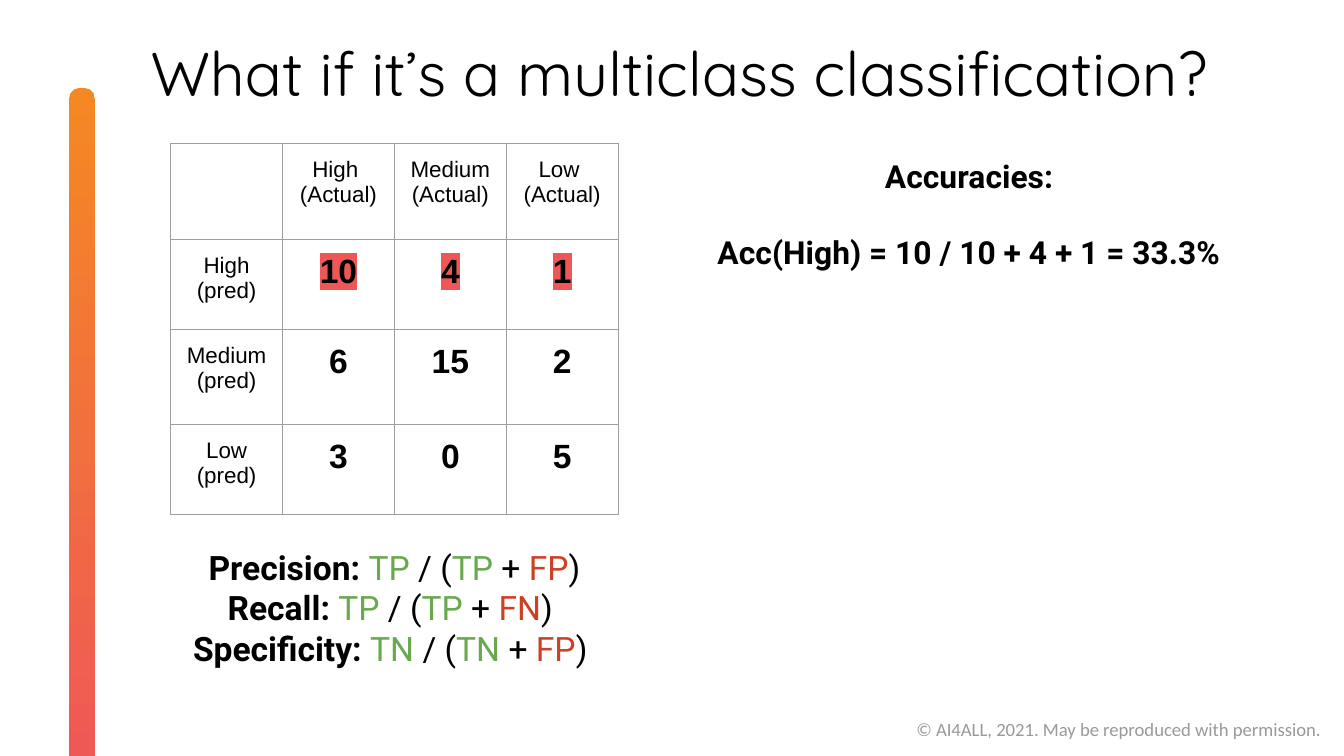
from dataclasses import dataclass

from lxml import etree
from pptx import Presentation
from pptx import util as u
from pptx.dml.color import RGBColor
from pptx.enum import shapes, text
from pptx.oxml import ns


@dataclass(frozen=True)
class Theme:
    """Colours, fonts and type sizes of the slide."""
    black: str = "000000"
    grey: str = "999999"
    grid: str = "9E9E9E"
    right: str = "6AA84F"
    wrong: str = "CC4125"
    orange: str = "F58823"
    red: str = "EF5757"
    title_font: str = "Quicksand"
    body_font: str = "Roboto"
    table_font: str = "Arial"
    footer_font: str = "Calibri"
    title_size: int = 33
    formula_size: int = 18
    accuracy_size: int = 17
    label_size: int = 12
    footer_size: int = 10


THEME = Theme()
COUNTS = [
    ["", "High \n(Actual)", "Medium (Actual)", "Low \n(Actual)"],
    ["High (pred)", "10", "4", "1"],
    ["Medium (pred)", "6", "15", "2"],
    ["Low (pred)", "3", "0", "5"],
]
HIGHLIGHTED_ROW = 1


def write(frame, lines, *, font, size, color=THEME.black, bold=False, highlight=None,
          align=text.PP_ALIGN.CENTER, gap=0):
    """Fill a text frame with lines, each a string or a list of (text, colour, bold)."""
    for index, line in enumerate(lines):
        paragraph = frame.paragraphs[0] if index == 0 else frame.add_paragraph()
        paragraph.alignment = align
        if index and gap:
            paragraph.space_before = u.Pt(gap)
        pieces = [(line, color, bold)] if isinstance(line, str) else line
        for words, shade, strong in pieces:
            run = paragraph.add_run()
            run.text = words
            run.font.name = font
            run.font.size = u.Pt(size)
            run.font.bold = strong
            run.font.color.rgb = RGBColor.from_string(shade)
            if highlight:
                mark = etree.Element(ns.qn("a:highlight"))
                etree.SubElement(mark, ns.qn("a:srgbClr"), val=highlight)
                run.font._element.find(ns.qn("a:solidFill")).addnext(mark)


def set_frame(frame, side=0, end=0):
    """Give a text frame its insets, wrapping and top anchor."""
    frame.margin_left = frame.margin_right = u.Inches(side)
    frame.margin_top = frame.margin_bottom = u.Inches(end)
    frame.word_wrap = True
    frame.auto_size = text.MSO_AUTO_SIZE.NONE
    frame.vertical_anchor = text.MSO_ANCHOR.TOP


def add_text(slide, place, lines, side=0, end=0, **style):
    """Add a text box at a place given in inches."""
    frame = slide.shapes.add_textbox(*map(u.Inches, place)).text_frame
    set_frame(frame, side, end)
    write(frame, lines, **style)


def set_title(slide, words):
    """Move and fill the title placeholder."""
    title = slide.shapes.title
    title.left, title.top = u.Inches(1.12), u.Inches(0.26)
    title.width, title.height = u.Inches(8.4), u.Inches(0.64)
    set_frame(title.text_frame)
    write(title.text_frame, [words], font=THEME.title_font, size=THEME.title_size,
          align=text.PP_ALIGN.LEFT)


def add_side_bar(slide):
    """Add the rounded gradient bar that runs off the bottom edge."""
    bar = slide.shapes.add_shape(shapes.MSO_SHAPE.ROUNDED_RECTANGLE, u.Inches(-1.98),
                                 u.Inches(3.15), u.Inches(5.18), u.Inches(0.19))
    bar.rotation = 90
    bar.adjustments[0] = 0.39
    bar.shadow.inherit = False
    bar.line.fill.background()
    bar.fill.gradient()
    bar.fill.gradient_angle = 0
    for stop, shade in zip(bar.fill.gradient_stops, (THEME.orange, THEME.red)):
        stop.color.rgb = RGBColor.from_string(shade)


def set_borders(cell):
    """Draw a thin grey line on all four sides of a cell."""
    properties = cell._tc.get_or_add_tcPr()
    for position, side in enumerate(("a:lnL", "a:lnR", "a:lnT", "a:lnB")):
        line = etree.Element(ns.qn(side), w=str(u.Pt(0.75)))
        fill = etree.SubElement(line, ns.qn("a:solidFill"))
        etree.SubElement(fill, ns.qn("a:srgbClr"), val=THEME.grid)
        properties.insert(position, line)


def add_confusion_table(slide):
    """Add the table of predicted against actual classes."""
    table = slide.shapes.add_table(4, 4, u.Inches(1.27), u.Inches(1.07),
                                   u.Inches(3.33), u.Inches(2.76)).table
    table.first_row = table.horz_banding = False
    for row, height in zip(table.rows, (0.71, 0.67, 0.71, 0.67)):
        row.height = u.Inches(height)
    for r, counts in enumerate(COUNTS):
        for c, words in enumerate(counts):
            cell = table.cell(r, c)
            cell.fill.background()
            set_borders(cell)
            cell.margin_left = cell.margin_right = u.Inches(0.1)
            cell.margin_top = cell.margin_bottom = u.Inches(0.1)
            is_count = r > 0 and c > 0
            if words:
                write(cell.text_frame, words.split("\n"), font=THEME.table_font,
                      size=THEME.formula_size if is_count else THEME.label_size,
                      bold=is_count,
                      highlight=THEME.red if is_count and r == HIGHLIGHTED_ROW else None)


def ratio(name, hit, miss, ending=") "):
    """Return the coloured pieces of one metric's formula."""
    return [
        (f"{name}: ", THEME.black, True),
        (hit, THEME.right, False),
        (" / (", THEME.black, False),
        (hit, THEME.right, False),
        (" + ", THEME.black, False),
        (miss, THEME.wrong, False),
        (ending, THEME.black, False),
    ]


def main():
    """Build and save the slide."""
    deck = Presentation()
    deck.slide_width = u.Inches(10)
    deck.slide_height = deck.slide_width * 9 // 16
    slide = deck.slides.add_slide(deck.slide_layouts[5])

    add_text(slide, (6.72, 5.29, 3.24, 0.27),
             ["© AI4ALL, 2021. May be reproduced with permission."], side=0.1, end=0.05,
             font=THEME.footer_font, size=THEME.footer_size, color=THEME.grey,
             align=text.PP_ALIGN.LEFT)
    add_side_bar(slide)
    set_title(slide, "What if it’s a multiclass classification?")
    add_text(slide, (1.27, 4.07, 3.33, 1.21),
             [ratio("Precision", "TP", "FP", ")"), ratio("Recall", "TP", "FN"),
              ratio("Specificity", "TN", "FP")],
             font=THEME.body_font, size=THEME.formula_size)
    add_confusion_table(slide)
    add_text(slide, (5.05, 1.17, 4.32, 3.77),
             ["Accuracies:", "Acc(High) = 10 / 10 + 4 + 1 = 33.3%"],
             font=THEME.body_font, size=THEME.accuracy_size, bold=True, gap=20)

    deck.save("out.pptx")


if __name__ == "__main__":
    main()
